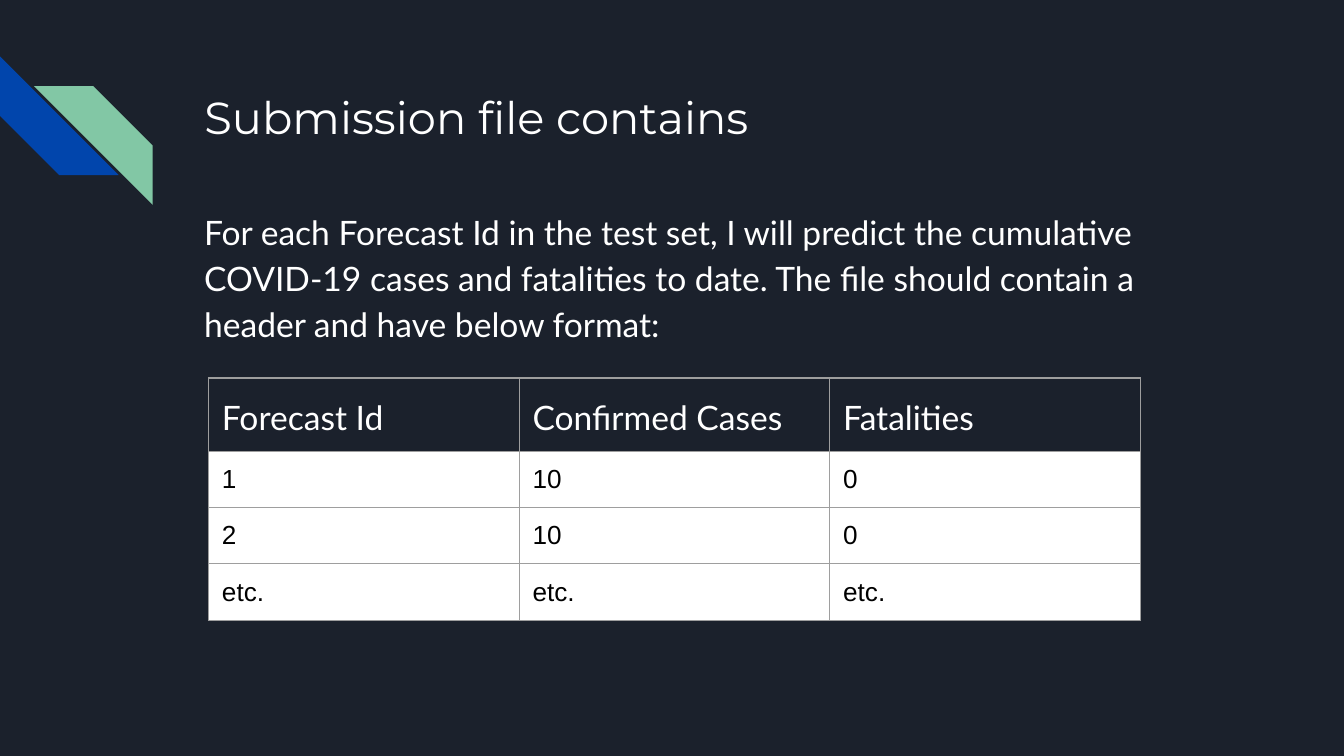
from lxml import etree
from pptx import Presentation
from pptx import util as u
from pptx.dml.color import RGBColor
from pptx.enum import shapes, text
from pptx.oxml import ns

C = {"bg": "1B212C", "blue": "0145AC", "green": "82C7A5",
     "white": "FFFFFF", "black": "000000", "border": "9E9E9E"}


def style(p, font, size, color):
    p.font.name = font
    p.font.size = u.Pt(size)
    p.font.bold = False
    p.font.color.rgb = RGBColor.from_string(C[color])


def set_borders(cell, color, width):
    tcPr = cell._tc.get_or_add_tcPr()
    for i, side in enumerate(("lnL", "lnR", "lnT", "lnB")):
        ln = etree.Element(ns.qn(f"a:{side}"), w=str(u.Pt(width)))
        fill = etree.SubElement(ln, ns.qn("a:solidFill"))
        etree.SubElement(fill, ns.qn("a:srgbClr"), val=C[color])
        tcPr.insert(i, ln)


prs = Presentation()
prs.slide_width, prs.slide_height = u.Pt(720), u.Pt(405)
s = prs.slides.add_slide(prs.slide_layouts[5])
s.background.fill.solid()
s.background.fill.fore_color.rgb = RGBColor.from_string(C["bg"])

for x, y, angle, color in ((0, 30.2, 270, "blue"), (18.2, 46.2, 90, "green")):
    sp = s.shapes.add_shape(shapes.MSO_SHAPE.DIAGONAL_STRIPE,
                            u.Pt(x), u.Pt(y), u.Pt(63.6), u.Pt(63.6))
    sp.adjustments[0] = 0.5
    sp.rotation = angle
    sp.shadow.inherit = False
    sp.fill.solid()
    sp.fill.fore_color.rgb = RGBColor.from_string(C[color])
    sp.line.fill.background()

title = s.shapes.title
title.left, title.top, title.width, title.height = (
    u.Pt(v) for v in (102.3, 39.6, 554.4, 45.4))
body = s.shapes.add_textbox(u.Pt(102.3), u.Pt(103), u.Pt(554.4), u.Pt(266.4))

for sp, words, font, size, anchor, spacing in (
    (title, "Submission file contains", "Montserrat", 24,
     text.MSO_ANCHOR.MIDDLE, 1),
    (body, "For each Forecast Id in the test set, I will predict the "
     "cumulative COVID-19 cases and fatalities to date. The file should "
     "contain a header and have below format:", "Lato", 18,
     text.MSO_ANCHOR.TOP, 1.15),
):
    tf = sp.text_frame
    tf.word_wrap = True
    tf.auto_size = text.MSO_AUTO_SIZE.NONE
    tf.vertical_anchor = anchor
    tf.margin_left = tf.margin_right = u.Pt(7.2)
    tf.margin_top = tf.margin_bottom = u.Pt(7.2)
    p = tf.paragraphs[0]
    p.text = words
    p.alignment = text.PP_ALIGN.LEFT
    p.line_spacing = spacing
    style(p, font, size, "white")

rows = [("Forecast Id", "Confirmed Cases", "Fatalities"),
        ("1", "10", "0"),
        ("2", "10", "0"),
        ("etc.", "etc.", "etc.")]
heights = [39, 30, 30, 30]
tbl = s.shapes.add_table(len(rows), 3, u.Pt(111.7), u.Pt(202.5),
                         u.Pt(499.2), u.Pt(sum(heights))).table
tbl.first_row = tbl.horz_banding = False
for col in tbl.columns:
    col.width = u.Pt(166.4)

for i, row in enumerate(rows):
    tbl.rows[i].height = u.Pt(heights[i])
    for j, words in enumerate(row):
        cell = tbl.cell(i, j)
        cell.margin_left = cell.margin_right = u.Pt(7.2)
        cell.margin_top = cell.margin_bottom = u.Pt(7.2)
        p = cell.text_frame.paragraphs[0]
        p.text = words
        if i == 0:
            cell.fill.background()
            p.line_spacing = 1.15
            p.space_after = u.Pt(16)
            style(p, "Lato", 18, "white")
        else:
            cell.fill.solid()
            cell.fill.fore_color.rgb = RGBColor.from_string(C["white"])
            style(p, "Arial", 14, "black")
        set_borders(cell, "border", 0.75)

prs.save("out.pptx")
